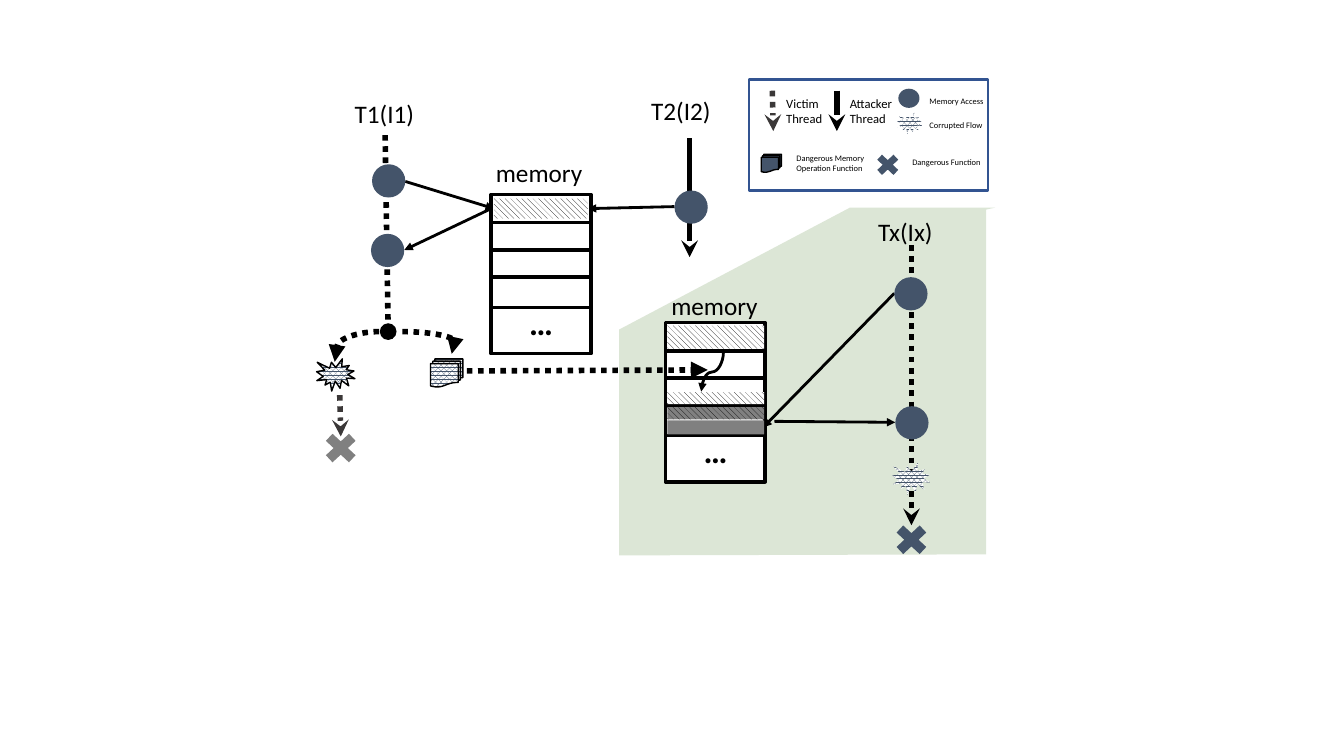
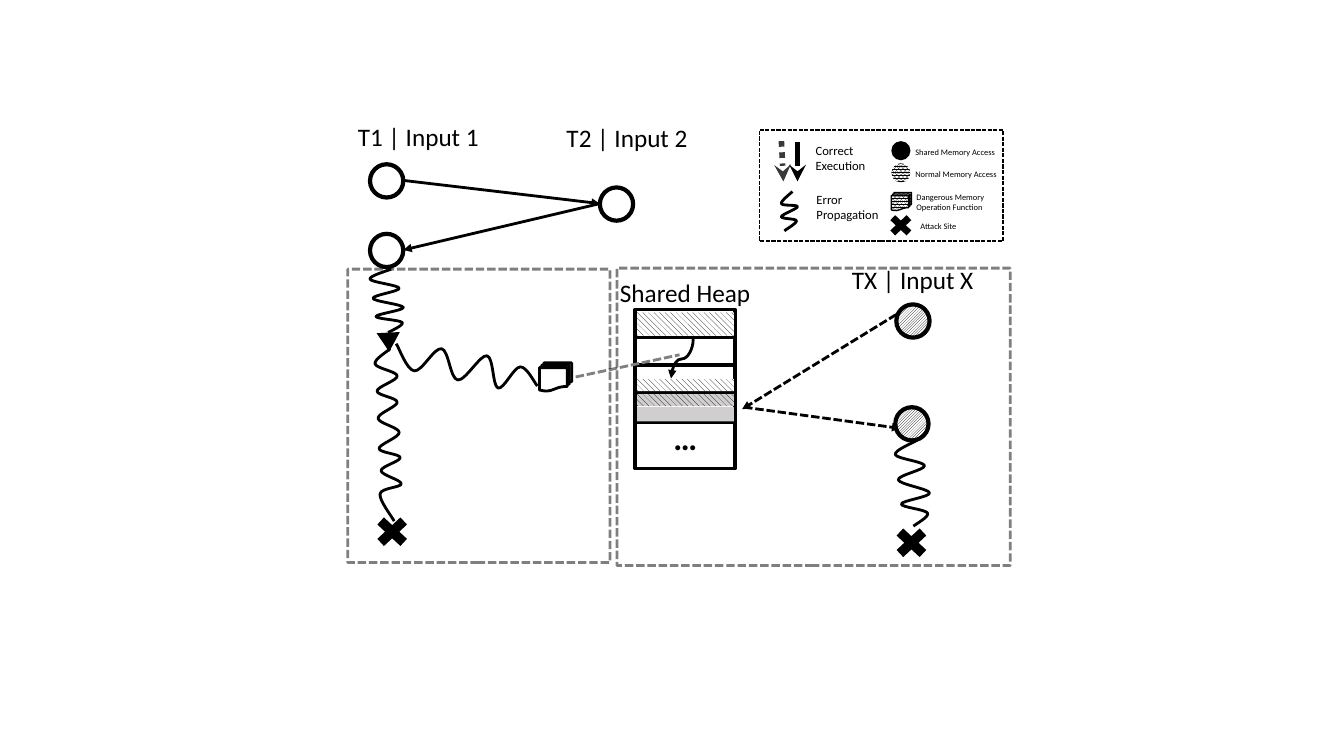
import copy
from dataclasses import dataclass

import pptx
import pptx.util
from pptx.dml.color import RGBColor
from pptx.enum.dml import MSO_LINE, MSO_PATTERN
from pptx.enum.shapes import MSO_CONNECTOR, MSO_SHAPE
from pptx.enum.text import MSO_AUTO_SIZE
from pptx.oxml import parse_xml
from pptx.oxml.ns import nsdecls, qn
from pptx.util import Inches


@dataclass(frozen=True)
class Theme:
    """Colours and type sizes of the deck."""
    font: str = "Calibri"
    heading: int = 18
    legend: int = 9
    small: int = 6
    dots: int = 24
    black: str = "000000"
    white: str = "FFFFFF"
    slate: str = "44546A"
    charcoal: str = "3B3838"
    gray: str = "808080"
    silver: str = "D0CECE"
    blue: str = "325491"
    green: str = "548235"


THEME = Theme()
DOT, DASH = MSO_LINE.ROUND_DOT, MSO_LINE.SQUARE_DOT
HATCH = MSO_PATTERN.WIDE_DOWNWARD_DIAGONAL

# Stroke: colour, width, dash, arrowhead, opacity in percent
STROKES = {
    "thread": (THEME.black, 4, DOT, "stealth", 100),
    "fork": (THEME.black, 4, DOT, "oval", 100),
    "branch": (THEME.black, 4, DOT, "triangle", 100),
    "victim": (THEME.charcoal, 4, DOT, "stealth", 100),
    "attacker": (THEME.black, 4, None, "stealth", 100),
    "access": (THEME.black, 2, None, "triangle", 100),
    "later access": (THEME.black, 2, DASH, "triangle", 100),
    "target": (THEME.gray, 2, DASH, None, 100),
    "cell": (THEME.black, 2.5, None, None, 100),
    "ring": (THEME.black, 3, None, None, 100),
    "plain": (THEME.black, 2, None, None, 100),
    "thin": (THEME.black, 1, None, None, 100),
    "key blue": (THEME.blue, 2, None, None, 100),
    "key dashed": (THEME.black, 1, DASH, None, 100),
    "zone": (THEME.black, 2, DASH, None, 50),
}

# Fill: colour, or pattern with foreground and background
FILLS = {
    "slate": THEME.slate, "gray": THEME.gray, "black": THEME.black,
    "white": THEME.white, "silver": THEME.silver,
    "speckle": (MSO_PATTERN.PERCENT_75, THEME.slate, THEME.white),
    "dense": (MSO_PATTERN.PERCENT_80, THEME.black, THEME.white),
    "upward": (MSO_PATTERN.LIGHT_UPWARD_DIAGONAL, THEME.black, THEME.white),
    "hatch": (HATCH, THEME.black, THEME.white),
    "gray hatch": (HATCH, THEME.black, THEME.gray),
    "silver hatch": (HATCH, THEME.black, THEME.silver),
}

KINDS = {
    "circle": MSO_SHAPE.OVAL, "cross": MSO_SHAPE.MATH_MULTIPLY,
    "pages": MSO_SHAPE.FLOWCHART_MULTIDOCUMENT, "burst": MSO_SHAPE.EXPLOSION1,
    "triangle": MSO_SHAPE.ISOSCELES_TRIANGLE, "box": MSO_SHAPE.RECTANGLE,
}

DOT_SIZE = (0.33, 0.33)
CROSS_SIZE = (0.44, 0.41)
KEY_CROSS = (0.31, 0.29)
KEY_PAGES = (0.2, 0.18)

# Links: start x, y, end x, y, stroke. Shapes: kind, left, top, size, fill, stroke, turn.
# Curves: left, top, width, height, turn, flipped, bend, stroke.
# Labels: text, left, top, width, height, type size.
ATTACK = {
    "backdrop": [(9.87, 2.06), (8.43, 2.06), (6.14, 3.27), (6.14, 5.51),
                 (9.78, 5.5), (9.78, 2.06), (9.78, 2.08)],
    "links": [
        (3.82, 1.34, 3.85, 3.29, "fork"), (6.84, 1.37, 6.84, 2.55, "attacker"),
        (4.02, 1.8, 4.9, 2.07, "access"), (6.69, 2.05, 5.83, 2.07, "access"),
        (4.85, 2.08, 4.01, 2.48, "access"), (3.37, 3.92, 3.38, 4.33, "victim"),
        (7.68, 4.18, 8.88, 4.19, "access"), (8.87, 2.91, 7.57, 4.24, "access"),
        (9.04, 2.43, 9.04, 5.21, "thread"),
        (7.66, 0.9, 7.67, 1.3, "victim"), (8.3, 0.9, 8.3, 1.3, "attacker"),
    ],
    "memories": [
        (4.87, 1.93, ("memory", -0.05, -0.42, 1.07), None),
        (6.6, 3.2, ("memory", -0.04, -0.37, 1.07), "gray"),
    ],
    "late links": [(4.63, 3.68, 7.02, 3.67, "branch")],
    "curves": [(3.32, 3.29, 0.44, 0.3, 180, True, 0.952, "branch"),
               (3.99, 3.29, 0.49, 0.22, 0, False, 1.104, "branch")],
    "waves": [],
    "shapes": [
        ("circle", 3.69, 1.63, DOT_SIZE, "slate", None),
        ("circle", 3.68, 2.32, DOT_SIZE, "slate", None),
        ("circle", 6.69, 1.89, DOT_SIZE, "slate", None),
        ("cross", 3.16, 4.24, CROSS_SIZE, "gray", None),
        ("pages", 4.27, 3.56, (0.32, 0.28), "speckle", "thin"),
        ("burst", 3.14, 3.56, (0.38, 0.32), "speckle", "thin"),
        ("circle", 8.87, 2.75, DOT_SIZE, "slate", None),
        ("circle", 8.88, 4.03, DOT_SIZE, "slate", None),
        ("burst", 8.85, 4.59, (0.38, 0.32), "speckle", None),
        ("cross", 8.82, 5.15, CROSS_SIZE, "slate", None),
        ("box", 7.43, 0.79, (2.37, 1.1), None, "key blue"),
        ("circle", 8.91, 0.88, (0.21, 0.19), "slate", None),
        ("burst", 8.9, 1.12, (0.25, 0.21), "speckle", None),
        ("pages", 7.55, 1.53, KEY_PAGES, "slate", "thin"),
        ("cross", 8.65, 1.49, KEY_CROSS, "slate", None),
    ],
    "labels": [
        ("T1(I1)", 3.42, 0.93, 0.8, 0.4, THEME.heading),
        ("T2(I2)", 6.36, 0.9, 0.8, 0.4, THEME.heading),
        ("Tx(Ix)", 8.61, 2.1, 0.75, 0.4, THEME.heading),
        ("Victim\nThread", 7.7, 0.9, 0.66, 0.4, THEME.legend),
        ("Attacker\nThread", 8.33, 0.9, 0.66, 0.4, THEME.legend),
        ("Memory Access", 9.12, 0.9, 0.92, 0.2, THEME.small),
        ("Corrupted Flow", 9.12, 1.14, 0.92, 0.2, THEME.small),
        ("Dangerous Memory Operation Function", 7.8, 1.47, 0.92, 0.3, THEME.small),
        ("Dangerous Function", 8.95, 1.51, 0.92, 0.2, THEME.small),
    ],
}

PROPAGATION = {
    "backdrop": [],
    "links": [
        (4, 1.79, 5.95, 2.02, "access"), (5.95, 2.02, 4, 2.48, "access"),
        (7.38, 4.04, 8.93, 4.25, "later access"),
        (8.89, 3.12, 7.36, 4.06, "later access"),
        (7.75, 1.4, 7.77, 1.8, "victim"), (7.91, 1.41, 7.91, 1.8, "attacker"),
    ],
    "memories": [(6.3, 3.07, ("Shared Heap", -0.25, -0.37, 1.51), "silver")],
    "late links": [(5.71, 3.74, 6.74, 3.52, "target")],
    "curves": [],
    "waves": [
        [(3.87, 3.46), (3.72, 3.61), (3.94, 3.73), (3.74, 3.88), (3.94, 3.99),
         (3.75, 4.15), (3.96, 4.29), (3.76, 4.45), (3.97, 4.54), (3.78, 4.67),
         (3.98, 4.8), (3.77, 4.9), (3.91, 5.17)],
        [(9.09, 4.37), (8.88, 4.51), (9.17, 4.62), (8.91, 4.76), (9.22, 4.89),
         (8.94, 5), (9.2, 5.09), (9.06, 5.22)],
        [(7.86, 1.9), (7.75, 2.02), (7.91, 2.05), (7.75, 2.15), (7.9, 2.19),
         (7.78, 2.29)],
        [(3.88, 2.67), (3.67, 2.77), (3.96, 2.86), (3.7, 2.96), (4, 3.05),
         (3.73, 3.14), (3.99, 3.2), (3.85, 3.3)],
        [(3.93, 3.41), (4.11, 3.68), (4.38, 3.46), (4.54, 3.77), (4.83, 3.53),
         (4.94, 3.85), (5.16, 3.64), (5.33, 3.83)],
    ],
    "shapes": [
        ("circle", 3.67, 1.63, DOT_SIZE, "white", "ring"),
        ("circle", 3.67, 2.32, DOT_SIZE, "white", "ring"),
        ("circle", 5.95, 1.86, DOT_SIZE, "white", "ring"),
        ("cross", 3.67, 5.07, CROSS_SIZE, "black", None),
        ("pages", 5.35, 3.6, (0.32, 0.28), None, "plain"),
        ("circle", 8.89, 3.02, DOT_SIZE, "upward", "ring"),
        ("circle", 8.88, 4.04, DOT_SIZE, "upward", "ring"),
        ("cross", 8.82, 5.18, CROSS_SIZE, "black", None),
        ("triangle", 3.74, 3.3, (0.23, 0.19), "black", None, 177.2),
        ("box", 7.53, 1.29, (2.42, 1.1), None, "key dashed"),
        ("circle", 8.84, 1.4, (0.19, 0.19), "black", None),
        ("circle", 8.84, 1.62, (0.19, 0.19), "dense", None),
        ("pages", 8.84, 1.91, KEY_PAGES, "dense", "thin"),
        ("cross", 8.78, 2.09, KEY_CROSS, "black", None),
        ("box", 3.45, 2.67, (2.6, 2.91), None, "zone"),
        ("box", 6.12, 2.66, (3.9, 2.95), None, "zone"),
    ],
    "labels": [
        ("T1 | Input 1", 3.45, 1.15, 1.42, 0.4, THEME.heading),
        ("T2 | Input 2", 5.52, 1.16, 1.42, 0.4, THEME.heading),
        ("TX | Input X", 8.35, 2.57, 1.48, 0.4, THEME.heading),
        ("Correct\nExecution", 7.99, 1.37, 0.72, 0.4, THEME.legend),
        ("Error\nPropagation", 8, 1.85, 0.83, 0.4, THEME.legend),
        ("Shared Memory Access", 8.98, 1.41, 1.08, 0.2, THEME.small),
        ("Normal Memory Access", 8.98, 1.63, 1.04, 0.2, THEME.small),
        ("Dangerous Memory Operation Function", 8.99, 1.86, 0.92, 0.3, THEME.small),
        ("Attack Site", 9.03, 2.14, 0.92, 0.2, THEME.small),
    ],
}


def set_opacity(properties, percent):
    """Make the first colour under an XML element partly transparent."""
    color = next(properties.iter(qn("a:srgbClr")))
    color.append(parse_xml(f'<a:alpha {nsdecls("a")} val="{percent * 1000}"/>'))


def set_stroke(shape, name):
    """Apply a named stroke, or remove the outline."""
    if name is None:
        shape.line.fill.background()
        return
    color, width, dash, head, opacity = STROKES[name]
    shape.line.color.rgb = RGBColor.from_string(color)
    shape.line.width = pptx.util.Pt(width)
    if dash:
        shape.line.dash_style = dash
    outline = shape._element.spPr.find(qn("a:ln"))
    if opacity < 100:
        set_opacity(outline, opacity)
    if head:
        outline.append(parse_xml(f'<a:tailEnd {nsdecls("a")} type="{head}"/>'))


def set_fill(shape, name):
    """Apply a named plain or patterned fill, or none."""
    look = FILLS.get(name)
    if look is None:
        shape.fill.background()
    elif isinstance(look, str):
        shape.fill.solid()
        shape.fill.fore_color.rgb = RGBColor.from_string(look)
    else:
        shape.fill.patterned()
        shape.fill.pattern, front, back = look
        shape.fill.fore_color.rgb = RGBColor.from_string(front)
        shape.fill.back_color.rgb = RGBColor.from_string(back)


def add_link(canvas, x1, y1, x2, y2, stroke, kind=MSO_CONNECTOR.STRAIGHT):
    """Draw a connector without a shadow."""
    link = canvas.add_connector(kind, *map(Inches, (x1, y1, x2, y2)))
    set_stroke(link, stroke)
    link._element.spPr.append(parse_xml(f'<a:effectLst {nsdecls("a")}/>'))
    return link


def add_curve(canvas, left, top, width, height, turn, flipped, bend, stroke):
    """Draw a turned curved connector with a given bend."""
    link = add_link(canvas, left, top, left + width, top + height, stroke,
                    MSO_CONNECTOR.CURVE)
    frame = link._element.spPr.find(qn("a:xfrm"))
    frame.set("rot", str(turn * 60000))
    if flipped:
        frame.set("flipV", "1")
    guides = next(link._element.iter(qn("a:avLst")))
    guides.append(parse_xml(f'<a:gd {nsdecls("a")} name="adj1" '
                            f'fmla="val {round(bend * 100000)}"/>'))


def add_figure(canvas, kind, left, top, size, fill, stroke, turn=0):
    """Draw a preset shape."""
    shape = canvas.add_shape(KINDS[kind], *map(Inches, (left, top, *size)))
    shape.shadow.inherit = False
    shape.rotation = turn
    set_fill(shape, fill)
    set_stroke(shape, stroke)


def add_label(canvas, text, left, top, width, height, size, bold=False):
    """Write a text box; headings stay on one line."""
    box = canvas.add_textbox(*map(Inches, (left, top, width, height)))
    frame = box.text_frame
    frame.text = text
    frame.word_wrap = size != THEME.heading
    frame.auto_size = MSO_AUTO_SIZE.SHAPE_TO_FIT_TEXT
    for para in frame.paragraphs:
        for span in para.runs:
            span.font.name, span.font.size = THEME.font, pptx.util.Pt(size)
            span.font.bold = bold
            span.font.color.rgb = RGBColor.from_string(THEME.black)


def add_outline(canvas, points, closed):
    """Build a freeform through points given in inches."""
    corners = [(Inches(x), Inches(y)) for x, y in points]
    builder = canvas.build_freeform(*corners[0])
    builder.add_line_segments(corners[1:], close=closed)
    shape = builder.convert_to_shape()
    shape.shadow.inherit = False
    return shape


def add_wave(canvas, points):
    """Draw a smooth line whose tangents follow the neighbouring points."""
    shape = add_outline(canvas, points, False)
    set_fill(shape, None)
    set_stroke(shape, "plain")
    knots = list(shape._element.iter(qn("a:pt")))
    spots = [(int(knot.get("x")), int(knot.get("y"))) for knot in knots]
    spots = [spots[0], *spots, spots[-1]]
    for knot, before, start, end, after in zip(knots[1:], spots, spots[1:], spots[2:], spots[3:]):
        segment = knot.getparent()
        cubic = parse_xml(f'<a:cubicBezTo {nsdecls("a")}/>')
        for base, near, far in ((start, before, end), (end, after, start)):
            x, y = (round(b + (f - n) / 6) for b, n, f in zip(base, near, far))
            control = copy.copy(knot)
            control.set("x", str(x))
            control.set("y", str(y))
            cubic.append(control)
        cubic.append(copy.copy(knot))
        segment.getparent().replace(segment, cubic)


def add_memory(page, left, top, title, overflow):
    """Draw a grouped column of cells, with an overflow in the given tone."""
    canvas = page.shapes.add_group_shape().shapes
    add_figure(canvas, "box", left, top, (0.99, 1.58), "white", "cell")
    for drop in (0.28, 0.55, 0.82, 1.12):
        add_link(canvas, left, top + drop, left + 0.99, top + drop, "cell")
    add_label(canvas, "…", left + 0.28, top + 1.02, 0.43, 0.5, THEME.dots, True)
    text, shift, rise, width = title
    add_label(canvas, text, left + shift, top + rise, width, 0.4, THEME.heading)
    if overflow is None:
        add_figure(canvas, "box", left + 0.03, top + 0.04, (0.93, 0.2), "hatch", None)
        return
    add_curve(canvas, left + 0.27, top + 0.38, 0.39, 0.22, 90, False, 0.5, "access")
    add_link(canvas, left, top + 0.81, left + 0.99, top + 0.81, "plain")
    for drop, height, fill in ((0.69, 0.12, "hatch"), (0.03, 0.23, "hatch"),
                               (0.84, 0.12, overflow + " hatch"), (0.97, 0.14, overflow)):
        add_figure(canvas, "box", left + 0.02, top + drop, (0.96, height), fill, None)


def add_diagram(deck, content):
    """Add one slide, layer by layer."""
    page = deck.slides.add_slide(deck.slide_layouts[6])
    if content["backdrop"]:
        area = add_outline(page.shapes, content["backdrop"], True)
        area.fill.solid()
        area.fill.fore_color.rgb = RGBColor.from_string(THEME.green)
        set_opacity(area._element.spPr, 20)
        set_stroke(area, None)
    for link in content["links"]:
        add_link(page.shapes, *link)
    for memory in content["memories"]:
        add_memory(page, *memory)
    for layer, draw in (("late links", add_link), ("curves", add_curve),
                        ("shapes", add_figure), ("labels", add_label)):
        for item in content[layer]:
            draw(page.shapes, *item)
    for wave in content["waves"]:
        add_wave(page.shapes, wave)


deck = pptx.Presentation()
deck.slide_width, deck.slide_height = Inches(13.33), Inches(7.5)
for diagram in (ATTACK, PROPAGATION):
    add_diagram(deck, diagram)
deck.save("out.pptx")
